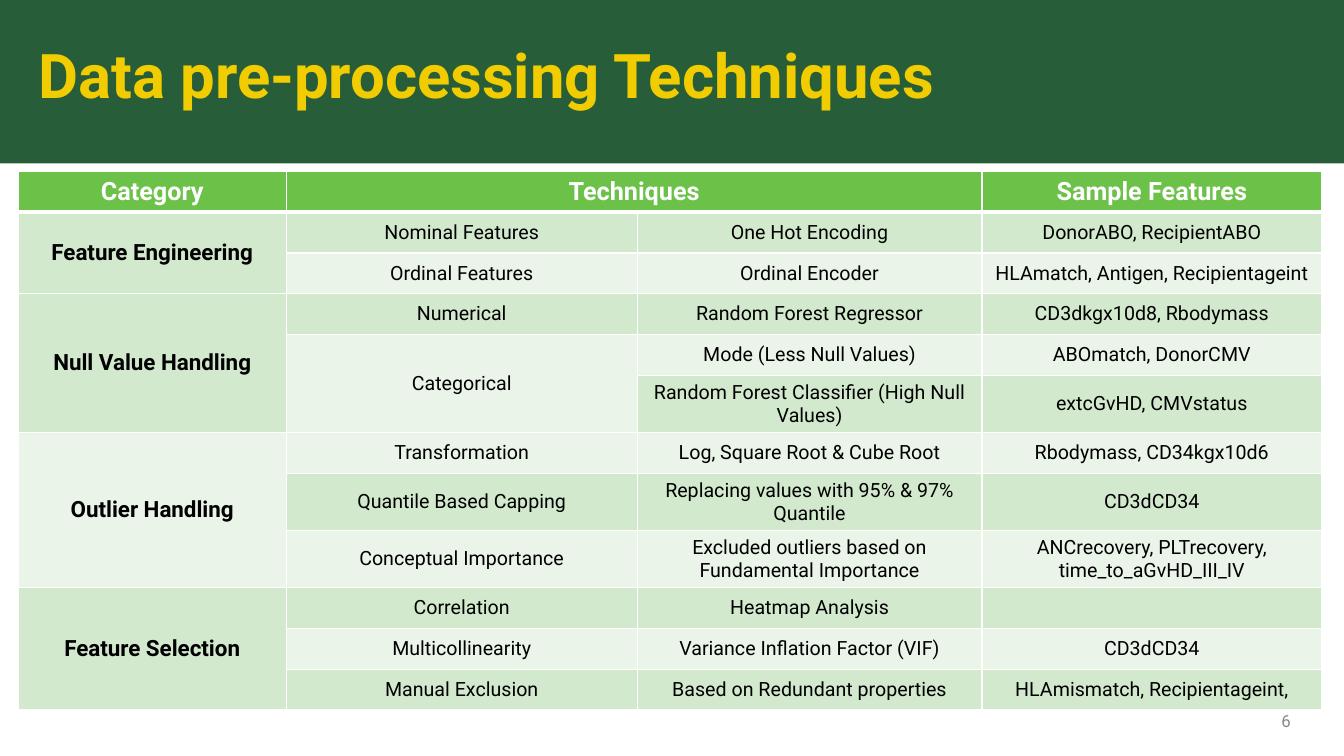
from itertools import groupby

from lxml.etree import SubElement
from pptx import Presentation
from pptx.dml.color import RGBColor
from pptx.enum.shapes import MSO_SHAPE
from pptx.enum.text import MSO_ANCHOR, MSO_AUTO_SIZE, PP_ALIGN
from pptx.oxml.ns import qn
from pptx.util import Inches, Pt

COLORS = {
    "banner": "275D38",
    "title": "F1CC00",
    "header": "6CC249",
    "band_dark": "D3E9CE",
    "band_light": "EAF4E8",
    "white": "FFFFFF",
    "black": "000000",
    "number": "888888",
}
FONT = "Roboto"
HEADERS = ["Category", "Techniques", None, "Sample Features"]
TECHNIQUES = [
    ("Feature Engineering", "Nominal Features", "One Hot Encoding", "DonorABO, RecipientABO"),
    ("Feature Engineering", "Ordinal Features", "Ordinal Encoder", "HLAmatch, Antigen, Recipientageint"),
    ("Null Value Handling", "Numerical", "Random Forest Regressor", "CD3dkgx10d8, Rbodymass"),
    ("Null Value Handling", "Categorical", "Mode (Less Null Values)", "ABOmatch, DonorCMV"),
    ("Null Value Handling", "Categorical", "Random Forest Classifier (High Null Values)", "extcGvHD, CMVstatus"),
    ("Outlier Handling", "Transformation", "Log, Square Root & Cube Root", "Rbodymass, CD34kgx10d6"),
    ("Outlier Handling", "Quantile Based Capping", "Replacing values with 95% & 97% Quantile", "CD3dCD34"),
    ("Outlier Handling", "Conceptual Importance", "Excluded outliers based on Fundamental Importance",
     "ANCrecovery, PLTrecovery, time_to_aGvHD_III_IV"),
    ("Feature Selection", "Correlation", "Heatmap Analysis", ""),
    ("Feature Selection", "Multicollinearity", "Variance Inflation Factor (VIF)", "CD3dCD34"),
    ("Feature Selection", "Manual Exclusion", "Based on Redundant properties", "HLAmismatch, Recipientageint,"),
]
COLUMN_WIDTHS = [2.66, 3.48, 3.42, 3.37]
ROW_HEIGHT = 0.405


def color(name):
    return RGBColor.from_string(COLORS[name])


def write_text(text_frame, text, size, fill, bold=False, align=PP_ALIGN.CENTER, spacing=None):
    paragraph = text_frame.paragraphs[0]
    paragraph.alignment = align
    paragraph.line_spacing = spacing
    run = paragraph.add_run()
    run.text = text
    run.font.name = FONT
    run.font.size = Pt(size)
    run.font.bold = bold
    run.font.color.rgb = color(fill)


def add_border(cell, side, width):
    line = SubElement(cell._tc.get_or_add_tcPr(), qn(f"a:ln{side}"), w=str(Pt(width)))
    solid = SubElement(line, qn("a:solidFill"))
    SubElement(solid, qn("a:srgbClr"), val=COLORS["white"])


def format_cell(cell, fill, top=1, bottom=1):
    for side, width in zip("LRTB", (1, 1, top, bottom)):
        add_border(cell, side, width)
    cell.fill.solid()
    cell.fill.fore_color.rgb = color(fill)
    cell.vertical_anchor = MSO_ANCHOR.MIDDLE


def add_banner(slide, left, top, width, height):
    banner = slide.shapes.add_shape(
        MSO_SHAPE.RECTANGLE, Inches(left), Inches(top), Inches(width), Inches(height))
    banner.shadow.inherit = False
    banner.fill.solid()
    banner.fill.fore_color.rgb = color("banner")
    banner.line.fill.background()
    title = slide.shapes.title
    title.element.addprevious(banner.element)
    title.left, title.top = Inches(left + 0.38), Inches(top + 0.45)
    title.width, title.height = Inches(width - 0.81), Inches(0.83)
    frame = title.text_frame
    frame.margin_left = frame.margin_right = frame.margin_top = frame.margin_bottom = 0
    frame.vertical_anchor = MSO_ANCHOR.TOP
    frame.auto_size = MSO_AUTO_SIZE.NONE
    write_text(frame, "Data pre-processing Techniques", size=44, fill="title",
               bold=True, align=PP_ALIGN.LEFT, spacing=0.9)


def merge_repeats(table, column):
    rows = enumerate((record[column] for record in TECHNIQUES), start=1)
    for text, group in groupby(rows, key=lambda item: item[1]):
        numbers = [number for number, _ in group]
        if len(numbers) > 1:
            table.cell(numbers[0], column).merge(table.cell(numbers[-1], column))


def add_techniques_table(slide, left, top):
    row_count = len(TECHNIQUES) + 1
    table = slide.shapes.add_table(
        row_count, len(COLUMN_WIDTHS), Inches(left), Inches(top),
        Inches(sum(COLUMN_WIDTHS)), Inches(ROW_HEIGHT * row_count)).table
    for column, width in zip(table.columns, COLUMN_WIDTHS):
        column.width = Inches(width)
    for row in table.rows:
        row.height = Inches(ROW_HEIGHT)
    table.cell(0, 1).merge(table.cell(0, 2))
    merge_repeats(table, 0)
    merge_repeats(table, 1)
    for column, text in enumerate(HEADERS):
        cell = table.cell(0, column)
        format_cell(cell, "header", bottom=3)
        if text:
            write_text(cell.text_frame, text, size=18, fill="white", bold=True)
    for row, record in enumerate(TECHNIQUES, start=1):
        for column, text in enumerate(record):
            cell = table.cell(row, column)
            format_cell(cell, "band_dark" if row % 2 else "band_light", top=3 if row == 1 else 1)
            if text and not cell.is_spanned:
                is_category = column == 0
                write_text(cell.text_frame, text, size=16 if is_category else 14,
                           fill="black", bold=is_category)


def add_slide_number(slide, left, top, width, height):
    box = slide.shapes.add_textbox(Inches(left), Inches(top), Inches(width), Inches(height))
    box.text_frame.word_wrap = True
    box.text_frame.vertical_anchor = MSO_ANCHOR.MIDDLE
    write_text(box.text_frame, "6", size=12, fill="number", align=PP_ALIGN.RIGHT)


def main():
    presentation = Presentation()
    presentation.slide_width = Inches(13.33)
    presentation.slide_height = Inches(7.5)
    slide = presentation.slides.add_slide(presentation.slide_layouts[5])
    add_banner(slide, 0, 0, 13.33, 1.62)
    add_slide_number(slide, 9.65, 6.95, 3.25, 0.4)
    add_techniques_table(slide, 0.18, 1.7)
    presentation.save("out.pptx")


if __name__ == "__main__":
    main()
